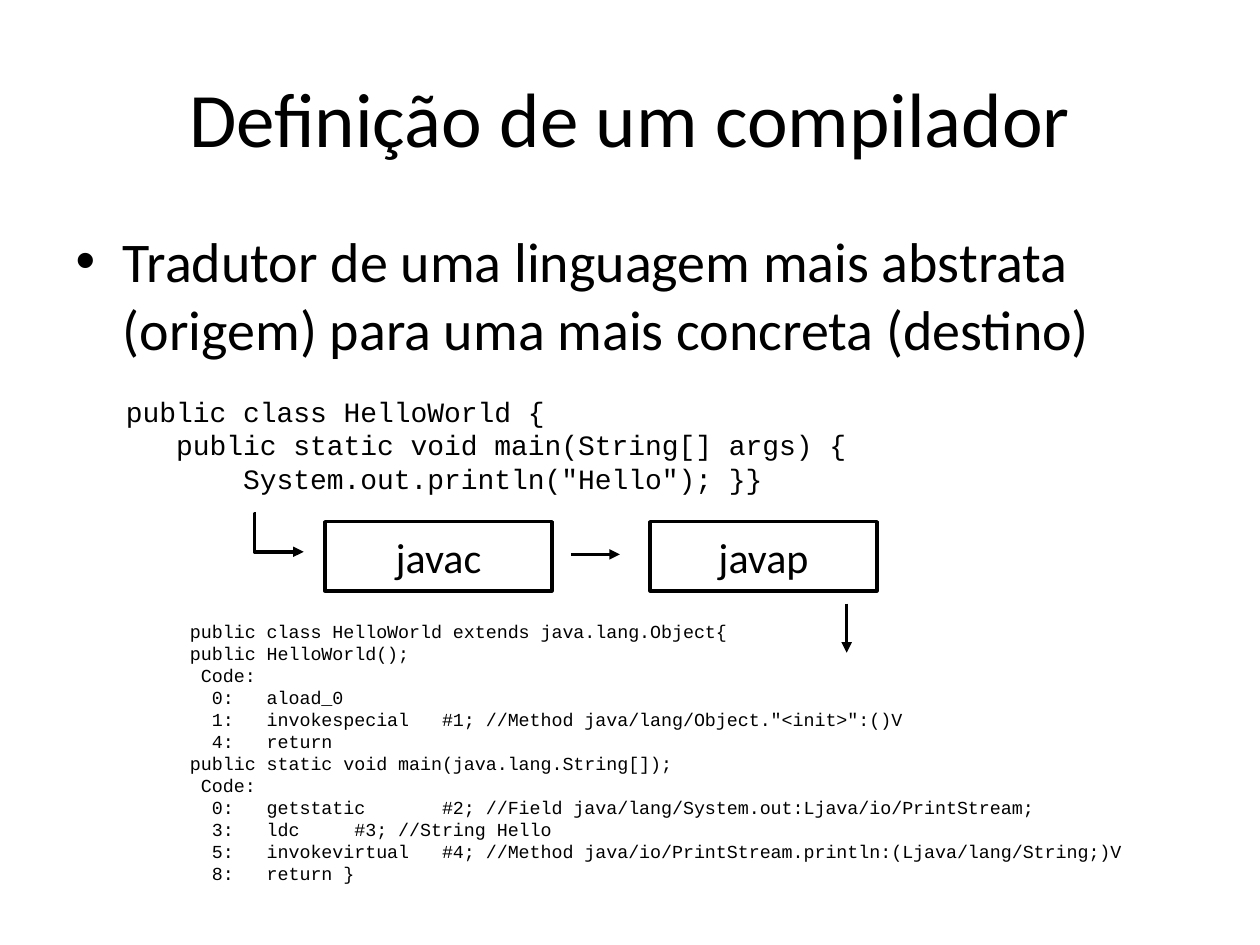
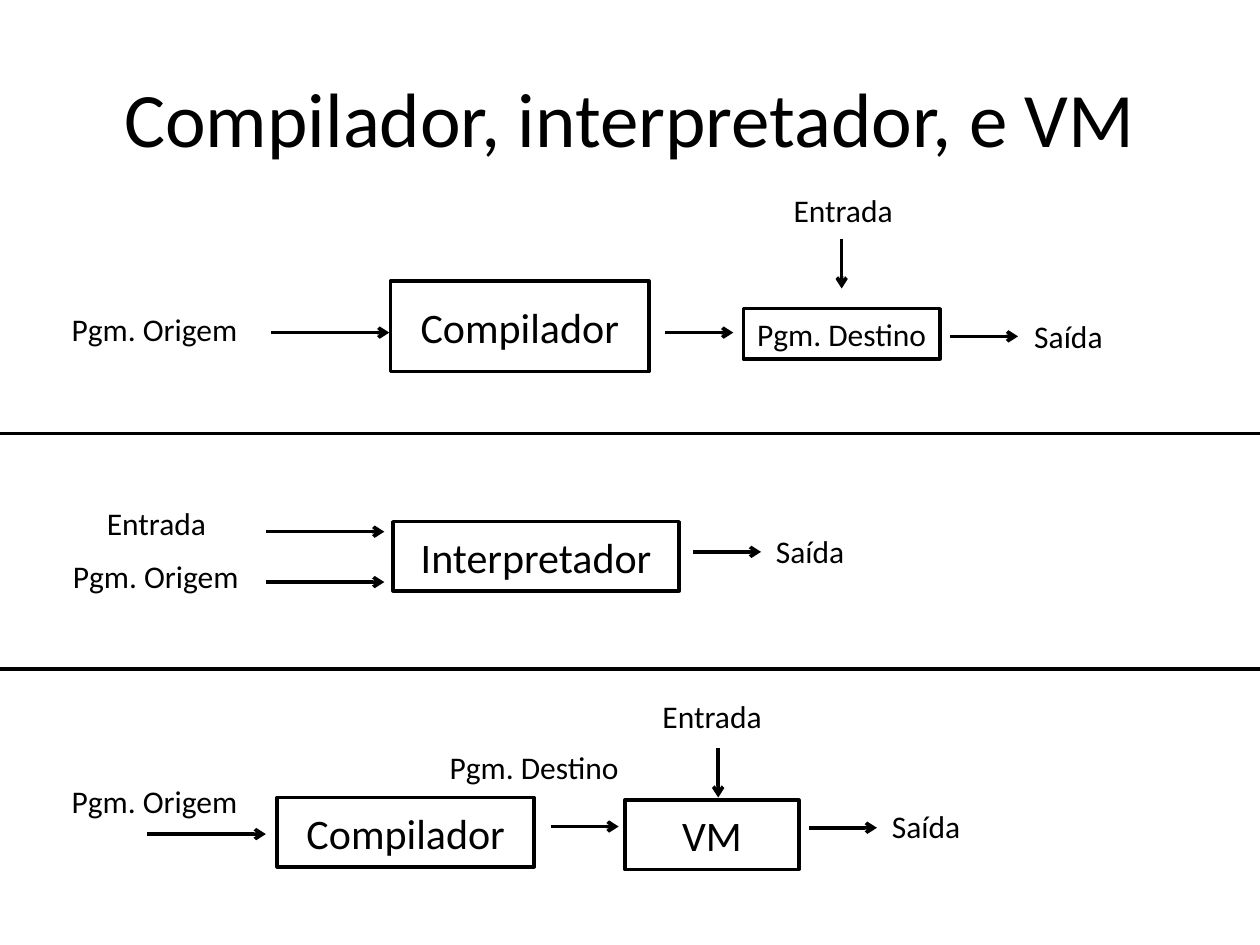
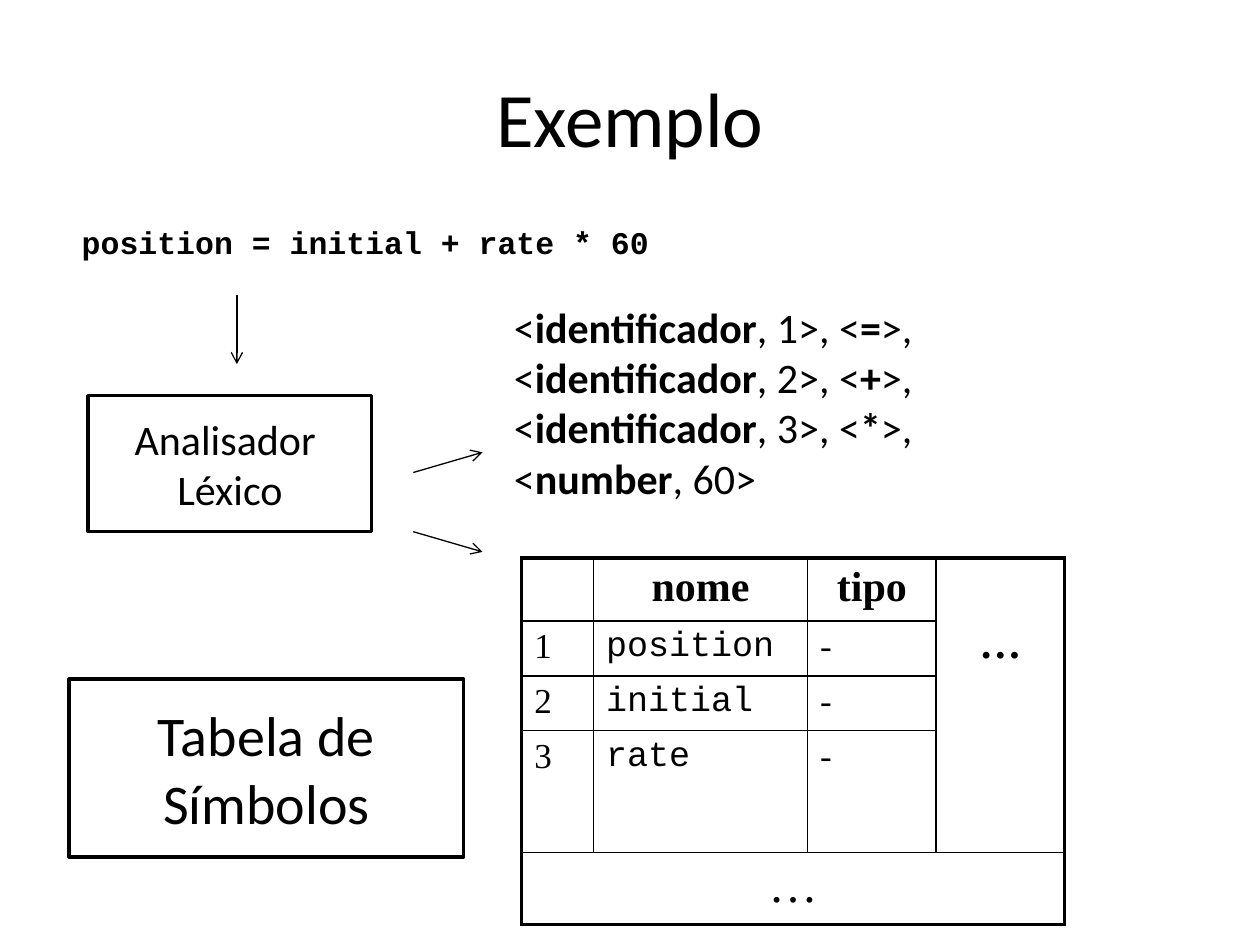
from dataclasses import dataclass

from pptx import Presentation, util as u
from pptx.dml.color import RGBColor
from pptx.enum import shapes, text
from pptx.oxml import parse_xml
from pptx.oxml.ns import nsdecls, qn
from lxml import etree

EMU_PER_PX = 9144  # 100 px to the inch


@dataclass(frozen=True)
class Theme:
    ink: str = "000000"
    paper: str = "FFFFFF"
    sans: str = "Calibri"
    mono: str = "Courier New"
    serif: str = "Times New Roman"
    title: float = 44
    body: float = 32
    box: float = 24
    cell: float = 20
    label: float = 18
    code: float = 16
    bytecode: float = 10.5
    dots: float = 28
    stroke: float = 2
    thin: float = 0.75
    frame: float = 2.25
    grid: float = 1


T = Theme()


@dataclass(frozen=True)
class Box:
    text: str
    x: int
    y: int
    w: int
    h: int = 55
    size: float = T.box
    wrap: bool = True


@dataclass(frozen=True)
class Label:
    text: str
    x: int
    y: int
    w: int
    h: int = 40
    size: float = T.label
    font: str = T.sans
    wrap: bool = False
    filled: bool = True


@dataclass(frozen=True)
class Arrow:
    x1: int
    y1: int
    x2: int
    y2: int
    head: str = "arrow"
    width: float = T.stroke


def px(n: int) -> u.Emu:
    return u.Emu(n * EMU_PER_PX)


def rgb(color: str) -> RGBColor:
    return RGBColor.from_string(color)


def place(sp, x: int, y: int, w: int, h: int) -> None:
    sp.left, sp.top, sp.width, sp.height = px(x), px(y), px(w), px(h)


def write(tf, content: str, *, size: float, font: str = T.sans, align=None,
          anchor=None, wrap: bool = True, bold: bool = False) -> None:
    """Fill a frame: a newline starts a paragraph, a bar switches bold on or off."""
    tf.word_wrap = wrap
    if anchor is not None:
        tf.vertical_anchor = anchor
    for i, line in enumerate(content.split("\n")):
        p = tf.paragraphs[0] if i == 0 else tf.add_paragraph()
        p.alignment = align
        for j, part in enumerate(line.split("|")):
            if not part:
                continue
            r = p.add_run()
            r.text = part
            r.font.size, r.font.name = u.Pt(size), font
            r.font.bold = bold or j % 2 == 1
            r.font.color.rgb = rgb(T.ink)


def add_slide(prs, layout: int, title: str):
    s = prs.slides.add_slide(prs.slide_layouts[layout])
    place(s.shapes.title, 50, 30, 900, 125)
    write(s.shapes.title.text_frame, title, size=T.title,
          align=text.PP_ALIGN.CENTER, anchor=text.MSO_ANCHOR.MIDDLE)
    return s


def add_box(s, box: Box) -> None:
    sp = s.shapes.add_shape(shapes.MSO_SHAPE.RECTANGLE,
                            px(box.x), px(box.y), px(box.w), px(box.h))
    sp.shadow.inherit = False
    sp.fill.solid()
    sp.fill.fore_color.rgb = rgb(T.paper)
    sp.line.color.rgb = rgb(T.ink)
    sp.line.width = u.Pt(T.stroke)
    write(sp.text_frame, box.text, size=box.size, wrap=box.wrap,
          align=text.PP_ALIGN.CENTER, anchor=text.MSO_ANCHOR.MIDDLE)


def add_label(s, label: Label) -> None:
    sp = s.shapes.add_textbox(px(label.x), px(label.y), px(label.w), px(label.h))
    if label.filled:
        sp.fill.solid()
        sp.fill.fore_color.rgb = rgb(T.paper)
    write(sp.text_frame, label.text, size=label.size, font=label.font, wrap=label.wrap)
    sp.text_frame.auto_size = text.MSO_AUTO_SIZE.SHAPE_TO_FIT_TEXT


def add_arrow(s, arrow: Arrow, kind=shapes.MSO_CONNECTOR.STRAIGHT):
    cx = s.shapes.add_connector(kind, px(arrow.x1), px(arrow.y1),
                                px(arrow.x2), px(arrow.y2))
    cx.line.color.rgb = rgb(T.ink)
    cx.line.width = u.Pt(arrow.width)
    if arrow.head:
        etree.SubElement(cx.line._get_or_add_ln(), qn("a:tailEnd"), type=arrow.head)
    etree.SubElement(cx._element.spPr, qn("a:effectLst"))
    return cx


def draw(s, *items) -> None:
    painters = {Box: add_box, Label: add_label, Arrow: add_arrow}
    for item in items:
        painters[type(item)](s, item)


def border(cell, side: str, width: float) -> None:
    cell._tc.get_or_add_tcPr().append(parse_xml(
        f'<a:ln{side} {nsdecls("a")} w="{int(u.Pt(width))}"><a:solidFill>'
        f'<a:srgbClr val="{T.ink}"/></a:solidFill></a:ln{side}>'))


def rule_cells(table) -> None:
    """Give the table a heavy frame and light inner lines, and no cell fill."""
    n_rows, n_cols = len(table.rows), len(table.columns)
    for i in range(n_rows):
        for j in range(n_cols):
            cell = table.cell(i, j)
            tall = cell.span_height if cell.is_merge_origin else 1
            wide = cell.span_width if cell.is_merge_origin else 1
            on_frame = {"L": j == 0, "R": j + wide == n_cols,
                        "T": i == 0, "B": i + tall == n_rows}
            for side, outer in on_frame.items():
                if outer or not cell.is_spanned:
                    border(cell, side, T.frame if outer else T.grid)
            cell.fill.background()


def add_symbol_table(s) -> None:
    widths, heights = (57, 170, 102, 102), (50, 43, 43, 97, 57)
    table = s.shapes.add_table(len(heights), len(widths), px(414), px(443),
                               px(sum(widths)), px(sum(heights))).table
    table.first_row = table.horz_banding = False
    for col, w in zip(table.columns, widths):
        col.width = px(w)
    for row, h in zip(table.rows, heights):
        row.height = px(h)
    table.cell(0, 3).merge(table.cell(3, 3))
    table.cell(4, 0).merge(table.cell(4, 3))

    center = text.PP_ALIGN.CENTER
    for j, heading in enumerate(("nome", "tipo", "…"), start=1):
        write(table.cell(0, j).text_frame, heading, size=T.box, font=T.serif,
              bold=True, align=center)
    table.cell(0, 3).margin_top = px(50)
    for i, name in enumerate(("position", "initial", "rate"), start=1):
        for j, (value, font) in enumerate(((str(i), T.serif), (name, T.mono),
                                           ("-", T.serif))):
            write(table.cell(i, j).text_frame, value, size=T.cell, font=font)
    write(table.cell(4, 0).text_frame, "…", size=T.dots, font=T.serif, align=center)
    rule_cells(table)


HELLO_SOURCE = """public class HelloWorld {
   public static void main(String[] args) {
       System.out.println("Hello"); }}"""

HELLO_BYTECODE = """public class HelloWorld extends java.lang.Object{
public HelloWorld();
 Code:
  0:   aload_0
  1:   invokespecial   #1; //Method java/lang/Object."<init>":()V
  4:   return
public static void main(java.lang.String[]);
 Code:
  0:   getstatic       #2; //Field java/lang/System.out:Ljava/io/PrintStream;
  3:   ldc     #3; //String Hello
  5:   invokevirtual   #4; //Method java/io/PrintStream.println:(Ljava/lang/String;)V
  8:   return }"""

TOKENS = ("<|identificador|, 1>, <|=|>, <|identificador|, 2>, <|+|>, "
          "<|identificador|, 3>, <|*|>, <|number|, 60>")


def build_definition(prs) -> None:
    s = add_slide(prs, 1, "Definição de um compilador")
    body = s.placeholders[1]
    place(body, 50, 175, 900, 495)
    write(body.text_frame, "Tradutor de uma linguagem mais abstrata (origem) "
          "para uma mais concreta (destino)", size=T.body)
    draw(s,
         Label(HELLO_SOURCE, 90, 308, 695, 91, T.code, T.mono, wrap=True, filled=False),
         Label(HELLO_BYTECODE, 141, 487, 773, 222, T.bytecode, T.mono, wrap=True,
               filled=False),
         Box("javac", 258, 414, 180),
         Box("javap", 516, 414, 180),
         Arrow(672, 479, 672, 518, "triangle"),
         Arrow(453, 440, 492, 440, "triangle"))
    elbow = add_arrow(s, Arrow(203, 408, 241, 438, "triangle"),
                      shapes.MSO_CONNECTOR.ELBOW)
    guides = elbow._element.spPr.find(qn("a:prstGeom")).get_or_add_avLst()
    etree.SubElement(guides, qn("a:gd"), name="adj1", fmla="val -2500")


def build_comparison(prs) -> None:
    s = add_slide(prs, 5, "Compilador, interpretador, e VM")
    for y in (344, 531):
        add_arrow(s, Arrow(0, y, 1000, y, head=""))
    for x, y in ((620, 147), (75, 395), (516, 548)):
        add_label(s, Label("Entrada", x, y, 100))
    for x, y in ((47, 241), (48, 437), (47, 616)):
        add_label(s, Label("Pgm. Origem", x, y, 153))
    for x, y in ((811, 247), (606, 417), (698, 636)):
        add_label(s, Label("Saída", x, y, 75))
    draw(s,
         Label("Pgm. Destino", 347, 589, 156),
         Box("Compilador", 310, 223, 205, 72),
         Box("Pgm. Destino", 590, 245, 156, 40, T.label, wrap=False),
         Box("Interpretador", 312, 414, 227),
         Box("Compilador", 220, 633, 204),
         Box("VM", 496, 635, 138))
    for x, y in ((215, 264), (211, 422), (211, 462), (117, 662)):
        add_arrow(s, Arrow(x, y, x + 94, y))
    for x, y in ((528, 264), (754, 267), (550, 438), (437, 656), (642, 657)):
        add_arrow(s, Arrow(x, y, x + 54, y))
    for x, y in ((668, 190), (570, 594)):
        add_arrow(s, Arrow(x, y, x, y + 39))


def build_example(prs) -> None:
    s = add_slide(prs, 5, "Exemplo")
    draw(s,
         Label("|position = initial + rate * 60|", 55, 172, 472, font=T.mono,
               filled=False),
         Label(TOKENS, 398, 234, 461, 172, T.box, wrap=True, filled=False))
    add_symbol_table(s)
    draw(s,
         Box("Tabela de Símbolos", 55, 539, 313, 141, T.body),
         Box("Analisador \nLéxico", 70, 314, 225, 108, wrap=False),
         Arrow(188, 234, 188, 289, width=T.thin),
         Arrow(328, 375, 383, 359, width=T.thin),
         Arrow(328, 422, 383, 438, width=T.thin))


def main() -> None:
    prs = Presentation()
    prs.slide_width, prs.slide_height = px(1000), px(750)
    build_definition(prs)
    build_comparison(prs)
    build_example(prs)
    prs.save("out.pptx")


if __name__ == "__main__":
    main()
